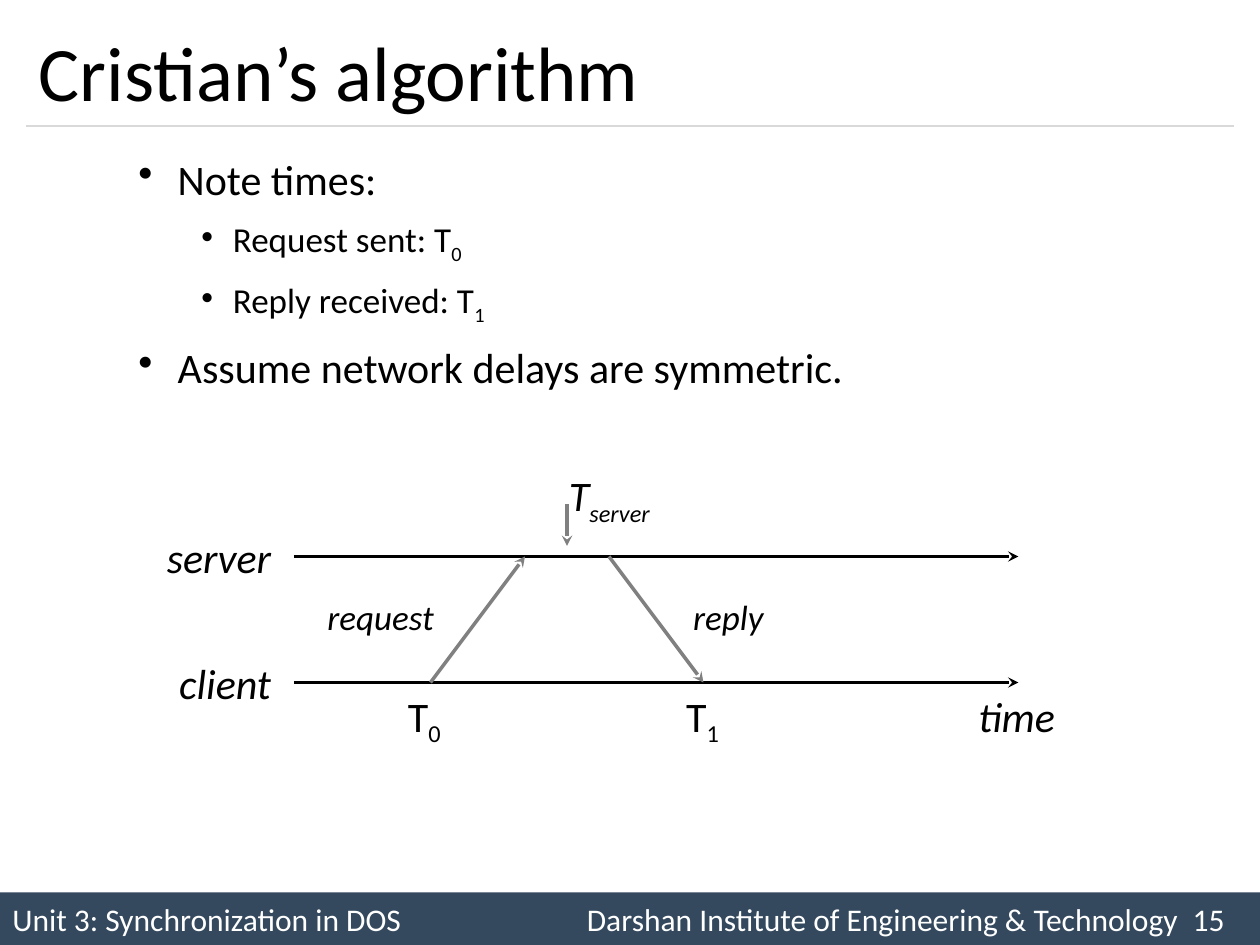
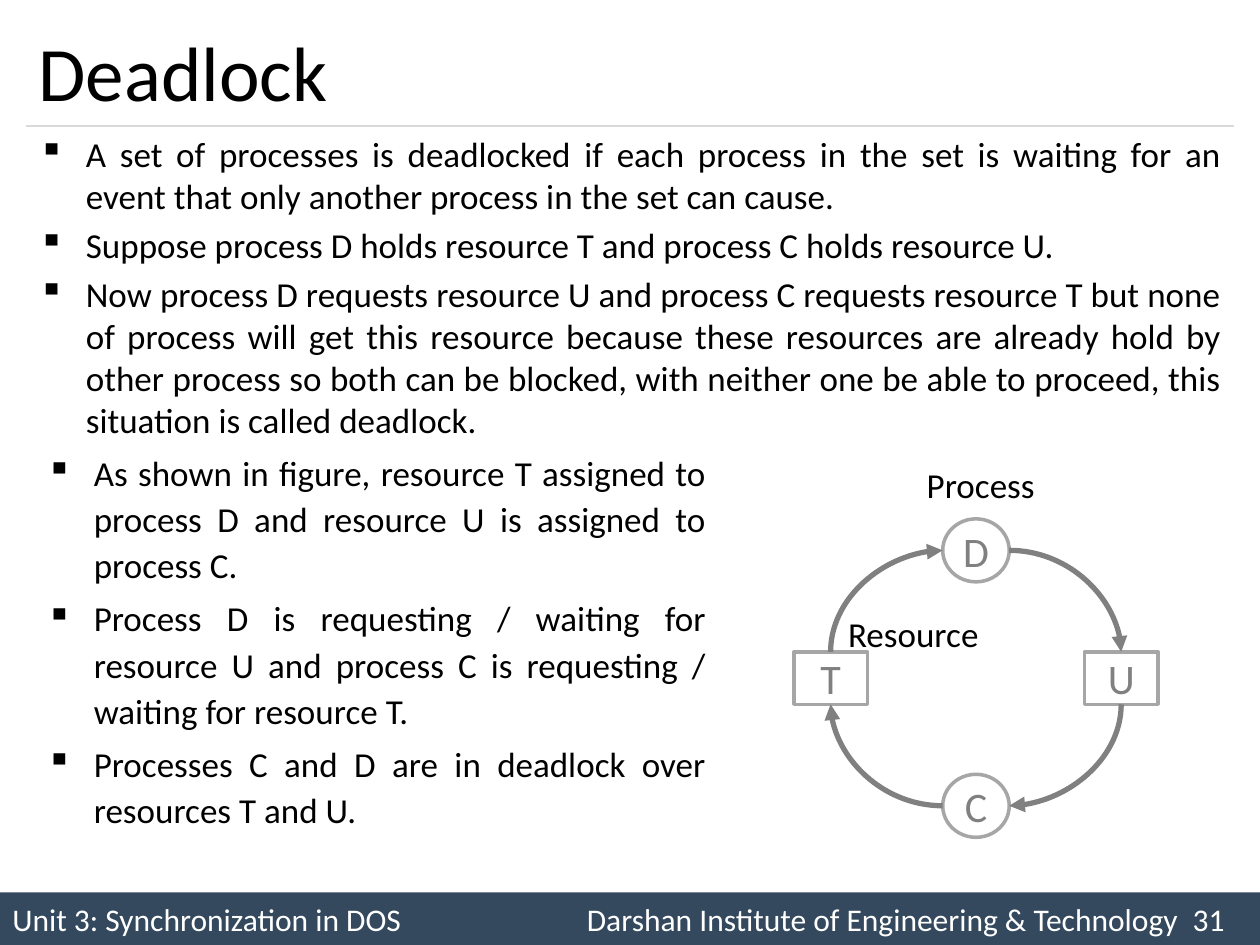
from itertools import product

from lxml import etree
from pptx import Presentation
from pptx import util as u
from pptx.dml.color import RGBColor
from pptx.enum import shapes, text
from pptx.oxml.ns import qn

Pt = u.Pt
COLORS = {"ink": "000000", "paper": "FFFFFF", "band": "34495E",
          "rule": "D9D9D9", "arrow": "808080", "outline": "A6A6A6"}
ALIGN = {"l": text.PP_ALIGN.LEFT, "c": text.PP_ALIGN.CENTER,
         "r": text.PP_ALIGN.RIGHT, "j": text.PP_ALIGN.JUSTIFY}
UNIT = "Unit 3: Synchronization in DOS"
SCHOOL = "Darshan Institute of Engineering & Technology"


def rgb(name):
    return RGBColor.from_string(COLORS[name])


def write(p, content, size=20, color="ink", font="Calibri", italic=False, align="l",
          bullet=None, margin=0, hanging=0, spacing=None, before=0, tabs=()):
    """Fill one paragraph; the part after "_" is set as a subscript."""
    pPr = p._p.get_or_add_pPr()
    if bullet:
        pPr.set("marL", str(Pt(margin)))
        pPr.set("indent", str(-Pt(hanging)))
        etree.SubElement(pPr, qn("a:buChar"), char=bullet)
    if tabs:
        stops = etree.SubElement(pPr, qn("a:tabLst"))
        for pos in tabs:
            etree.SubElement(stops, qn("a:tab"), pos=str(Pt(pos)), algn="l")
    p.alignment = ALIGN[align]
    p.space_before = Pt(before)
    if spacing:
        p.line_spacing = spacing
    base, _, sub = content.partition("_")
    for part, offset in ((base, None), (sub, "-25000")):
        if not part:
            continue
        r = p.add_run()
        r.text = part
        r.font.name, r.font.size, r.font.italic = font, Pt(size), italic
        r.font.color.rgb = rgb(color)
        if offset:
            r._r.get_or_add_rPr().set("baseline", offset)


class Deck:
    def __init__(self):
        self.prs = Presentation()
        self.prs.slide_width, self.prs.slide_height = Pt(720), Pt(540)
        self.s = None

    def slide(self, title, number):
        self.s = self.prs.slides.add_slide(self.prs.slide_layouts[6])
        # Footer band
        self.shape("RECTANGLE", 0, 510, 720, 30, f"{UNIT}\t{SCHOOL}\t{number}",
                   fill="band", inset=7.2, size=18, color="paper", tabs=(328.3, 674.5))
        # Title and rule
        self.line((15, 72), (705, 72), "rule", 0.75)
        self.label(title, 15, 9, 690, 63, wrap=True, anchor="MIDDLE", size=44)

    def label(self, content, x, y, w, h, wrap=False, anchor="TOP", **fmt):
        tf = self.text_box(x, y, w, h, wrap, anchor)
        write(tf.paragraphs[0], content, **fmt)

    def text_box(self, x, y, w, h, wrap=True, anchor="TOP"):
        tf = self.s.shapes.add_textbox(Pt(x), Pt(y), Pt(w), Pt(h)).text_frame
        tf.word_wrap = wrap
        tf.vertical_anchor = text.MSO_ANCHOR[anchor]
        return tf

    def bullets(self, items, x, y, w, h, **shared):
        """Each item is its text and the format that differs from the shared one."""
        tf = self.text_box(x, y, w, h)
        for i, (content, own) in enumerate(items):
            p = tf.add_paragraph() if i else tf.paragraphs[0]
            fmt = {"size": 20, **shared, **own}
            write(p, content, before=fmt["size"] * 0.2 if i else 0, **fmt)

    def shape(self, kind, x, y, w, h, content, fill="paper", line=None, inset=0, **fmt):
        sp = self.s.shapes.add_shape(shapes.MSO_SHAPE[kind], Pt(x), Pt(y), Pt(w), Pt(h))
        sp.shadow.inherit = False
        sp.fill.solid()
        sp.fill.fore_color.rgb = rgb(fill)
        if line:
            sp.line.color.rgb, sp.line.width = rgb(line), Pt(2)
        else:
            sp.line.fill.background()
        tf = sp.text_frame
        tf.margin_left = tf.margin_right = Pt(inset)
        tf.margin_top = tf.margin_bottom = 0
        tf.vertical_anchor = text.MSO_ANCHOR.MIDDLE
        write(tf.paragraphs[0], content, **fmt)

    def line(self, start, end, color="arrow", width=2, curved=False, **ends):
        """ends: headEnd (at start) or tailEnd (at end) with an arrowhead type."""
        kind = shapes.MSO_CONNECTOR.CURVE if curved else shapes.MSO_CONNECTOR.STRAIGHT
        c = self.s.shapes.add_connector(kind, *(Pt(v) for v in (*start, *end)))
        c.line.color.rgb, c.line.width = rgb(color), Pt(width)
        spPr = c._element.spPr
        if curved:  # a quarter turn, leaving the start horizontally
            spPr.find(qn("a:prstGeom")).set("prst", "curvedConnector2")
        for tag, arrow in ends.items():
            etree.SubElement(spPr.find(qn("a:ln")), qn(f"a:{tag}"), type=arrow)
        etree.SubElement(spPr, qn("a:effectLst"))


def cristian(d):
    d.slide("Cristian’s algorithm", 15)
    sub = {"size": 20, "margin": 90, "hanging": 18}
    d.bullets([("Note times:", {}), ("Request sent: T_0", sub),
               ("Reply received: T_1", sub),
               ("Assume network delays are symmetric.", {})],
              36, 80, 648, 174, size=24, bullet="•", margin=58.5, hanging=22.5,
              spacing=1.14)

    # Time axes
    server, client = 318, 390
    for y in (client, server):
        d.line((168, y), (582, y), "ink", tailEnd="stealth")
    d.label("server", 42, server - 18, 120, 36, wrap=True, size=24, italic=True, align="r")
    d.label("client", 60, client - 18, 102, 36, wrap=True, size=24, italic=True, align="r")
    d.label("time", 552, client + 1, 59, 36, size=24, italic=True)

    # Messages between client and server
    for start, end in (((246, client), (300, server)), ((348, server), (402, client)),
                       ((324, 288), (324, 312))):
        d.line(start, end, tailEnd="stealth")
    d.label("request", 180, 337, 76, 32, italic=True)
    d.label("reply", 389, 337, 55, 32, italic=True)
    d.label("T_0", 226, client + 1, 35, 36, size=24)
    d.label("T_1", 385, client + 1, 35, 36, size=24)
    d.label("T_server", 318, 265, 65, 36, size=24, italic=True)


def deadlock(d):
    d.slide("Deadlock", 31)
    square = {"bullet": "▪", "margin": 27, "hanging": 27, "align": "j"}
    d.bullets([
        ("As shown in figure, resource T assigned to process D and resource U is "
         "assigned to process C.", {}),
        ("Process D is requesting / waiting for resource U and process C is "
         "requesting / waiting for resource T.", {}),
        ("Processes C and D are in deadlock over resources T and U.", {}),
    ], 19.5, 252, 391, 246, spacing=1.1, **square)
    d.bullets([
        ("A set of processes is deadlocked if each process in the set is waiting for "
         "an event that only another process in the set can cause.", {}),
        ("Suppose process D holds resource T and process C holds resource U.", {}),
        ("Now process D requests resource U and process C requests resource T but none "
         "of process will get this resource because these resources are already hold by "
         "other process so both can be blocked, with neither one be able to proceed, "
         "this situation is called deadlock.", {}),
    ], 15, 72, 690, 420, **square)

    # Resources left and right, processes above and below the centre
    cx, cy, dx, dy = 557.7, 387.5, 83, 73
    box_w, box_h, disc_w, disc_h = 42, 30, 38, 36
    for kind, name, x, y, w, h in (
            ("RECTANGLE", "T", cx - dx, cy, box_w, box_h),
            ("RECTANGLE", "U", cx + dx, cy, box_w, box_h),
            ("OVAL", "D", cx, cy - dy, disc_w, disc_h),
            ("OVAL", "C", cx, cy + dy, disc_w, disc_h)):
        d.shape(kind, x - w / 2, y - h / 2, w, h, name, line="outline",
                size=24, color="arrow", align="c")

    # Arcs run from process to resource; the arrowheads follow the clockwise cycle
    for sx, sy in product((-1, 1), repeat=2):
        tip = "tailEnd" if sx != sy else "headEnd"
        d.line((cx + sx * disc_w / 2, cy + sy * dy), (cx + sx * dx, cy + sy * box_h / 2),
               width=3, curved=True, **{tip: "triangle"})
    d.label("Process", 522.5, 261.5, 77, 32)
    d.label("Resource", 477.5, 346.5, 90, 32)


def main():
    d = Deck()
    cristian(d)
    deadlock(d)
    d.prs.save("out.pptx")


if __name__ == "__main__":
    main()
